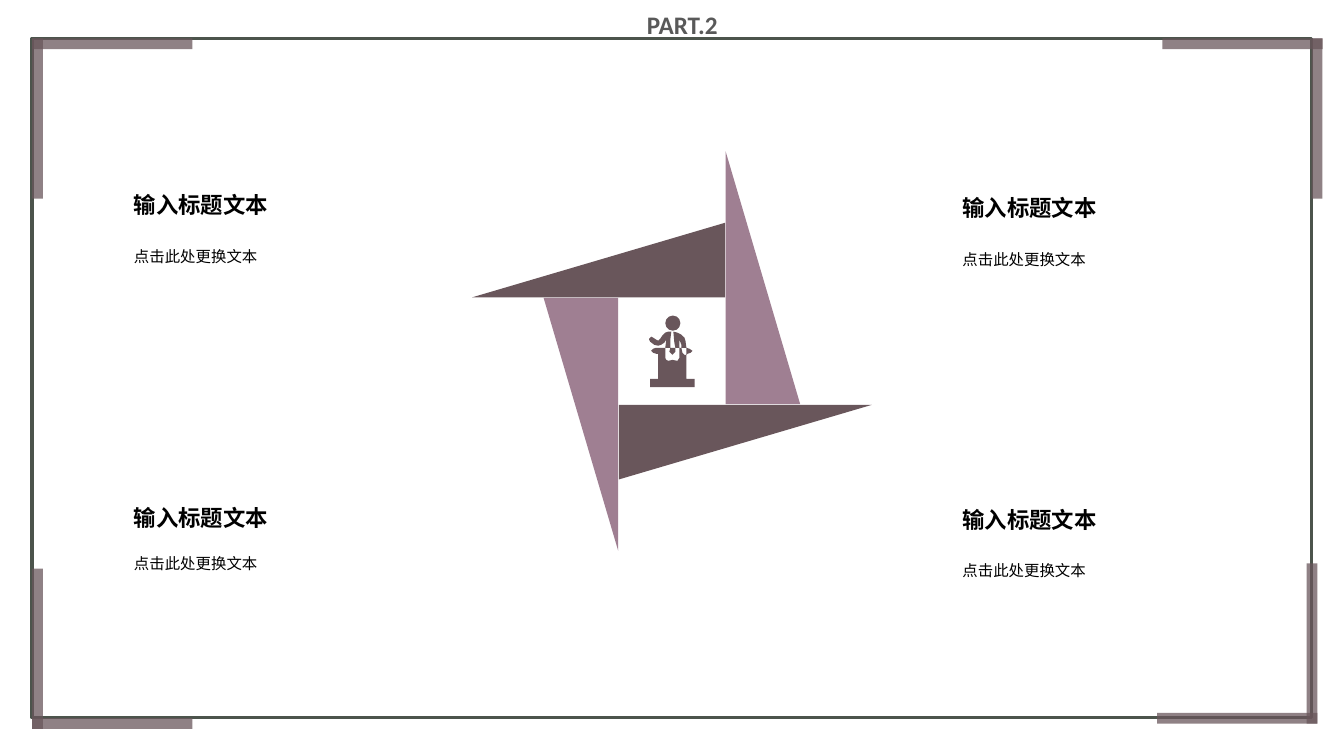
"""Build the PART.2 slide: a framed pinwheel with four captions."""
from math import cos, radians, sin

from pptx import Presentation
from pptx.dml.color import RGBColor
from pptx.enum.shapes import MSO_SHAPE
from pptx.enum.text import MSO_AUTO_SIZE, PP_ALIGN
from pptx.oxml.ns import qn
from pptx.util import Pt
from lxml.etree import SubElement

DARK, MAUVE, FRAME, GREY, BLACK = "69565B", "9F7F92", "4C544C", "595959", "000000"
FONT = "Calibri"
PART = "PART.2"
CAPTIONS = [
    ("输入标题文本", "点击此处更换文本", 88.6, 133.2, 166.3),
    ("输入标题文本", "点击此处更换文本", 680.4, 135.4, 168.5),
    ("输入标题文本", "点击此处更换文本", 88.6, 356.4, 385.9),
    ("输入标题文本", "点击此处更换文本", 680.4, 357.8, 391),
]
CORNERS = [
    (23, 27.4, False, False),
    (830.2, 27.4, True, False),
    (23, 406.1, False, True),
    (826.6, 402.5, True, True),
]
ARM, THICK = 114.5, 7.7
HUB = (480, 250.8)
BLADE = (180.7, 53.3)
SHIFT = (-52.4, -65)
HEAD = (475.2, 225.4, 10.8, 10.8)
ICON_UNIT = 0.72
SPEAKER = [
    [(681, 345), (684, 345.5), (687, 348), (685, 350.5), (682, 351), (681, 352)],
    [(665, 345), (670, 345), (670, 349), (667, 352), (664, 349)],
    [(651, 345), (660, 345), (660, 355), (661, 357), (663, 358), (667, 357),
     (672, 357.5), (674, 355), (674.5, 350), (674, 345), (676, 345), (677, 350),
     (679, 352), (681, 352), (681, 376), (689, 376), (689, 384), (645, 384),
     (645, 376), (653, 376), (653, 351), (651, 351), (647.5, 350), (646, 348),
     (647.5, 346)],
    [(668, 329), (672, 329.5), (676, 331.5), (679, 335), (680, 338), (681, 345),
     (676, 345), (676, 342), (674, 337), (674, 345), (670, 345), (669, 340)],
    [(666, 329), (665, 337), (665, 345), (660, 345), (661, 337), (659, 339.5),
     (656, 342), (653, 343), (649, 342), (645, 339), (643.5, 337), (644, 335.5),
     (646, 334.5), (648, 335), (651, 337), (653, 338), (655, 336), (657, 333),
     (660, 330.5), (663, 329.3)],
]


def color(code):
    return RGBColor.from_string(code)


def paint(shape, code, alpha=None):
    shape.shadow.inherit = False
    shape.line.fill.background()
    shape.fill.solid()
    shape.fill.fore_color.rgb = color(code)
    if alpha:
        tint = shape.fill._xPr.find(qn("a:solidFill"))[0]
        SubElement(tint, qn("a:alpha")).set("val", str(alpha * 1000))


def add(kind, x, y, w, h):
    return shapes.add_shape(kind, Pt(x), Pt(y), Pt(w), Pt(h))


def write(text, x, y, w, h, size, code=BLACK, bold=False, wrap=True):
    box = shapes.add_textbox(Pt(x), Pt(y), Pt(w), Pt(h))
    frame = box.text_frame
    frame.text = text
    frame.word_wrap = wrap
    line = frame.paragraphs[0]
    font = line.runs[0].font
    font.name, font.size, font.bold = FONT, Pt(size), bold
    font.color.rgb = color(code)
    return frame, line


deck = Presentation()
deck.slide_width, deck.slide_height = Pt(960), Pt(540)
shapes = deck.slides.add_slide(deck.slide_layouts[6]).shapes

frame = add(MSO_SHAPE.RECTANGLE, 23, 27.4, 913.7, 485.3)
frame.shadow.inherit = False
frame.fill.background()
frame.line.color.rgb = color(FRAME)
frame.line.width = Pt(2.5)

for x, y, right, low in CORNERS:
    inset = ARM - THICK
    paint(add(MSO_SHAPE.RECTANGLE, x, y + inset * low, ARM, THICK), DARK, 74)
    paint(add(MSO_SHAPE.RECTANGLE, x + inset * right, y, THICK, ARM), DARK, 74)

title, line = write(PART, 455, 2.9, 144, 28.8, 18, GREY, True)
title.auto_size = MSO_AUTO_SIZE.SHAPE_TO_FIT_TEXT

for turn in range(4):
    angle = radians(90 * turn)
    dx, dy = SHIFT
    x = HUB[0] + dx * cos(angle) - dy * sin(angle) - BLADE[0] / 2
    y = HUB[1] + dx * sin(angle) + dy * cos(angle) - BLADE[1] / 2
    blade = add(MSO_SHAPE.RIGHT_TRIANGLE, x, y, *BLADE)
    blade._element.spPr.xfrm.set("flipH", "1")
    blade.rotation = 90 * turn
    paint(blade, MAUVE if turn % 2 else DARK)

paint(add(MSO_SHAPE.OVAL, *HEAD), DARK)
pen = shapes.build_freeform(*SPEAKER[0][0], scale=Pt(ICON_UNIT))
for part in SPEAKER:
    pen.move_to(*part[0])
    pen.add_line_segments(part[1:], close=True)
paint(pen.convert_to_shape(), DARK)

for head, body, x, top, low in CAPTIONS:
    text, line = write(body, x, low, 270.7, 46.1, 11)
    line.line_spacing = 1.5
    text, line = write(head, x, top, 270.7, 26.6, 16, bold=True, wrap=False)
    line.alignment = PP_ALIGN.JUSTIFY

deck.save("out.pptx")
